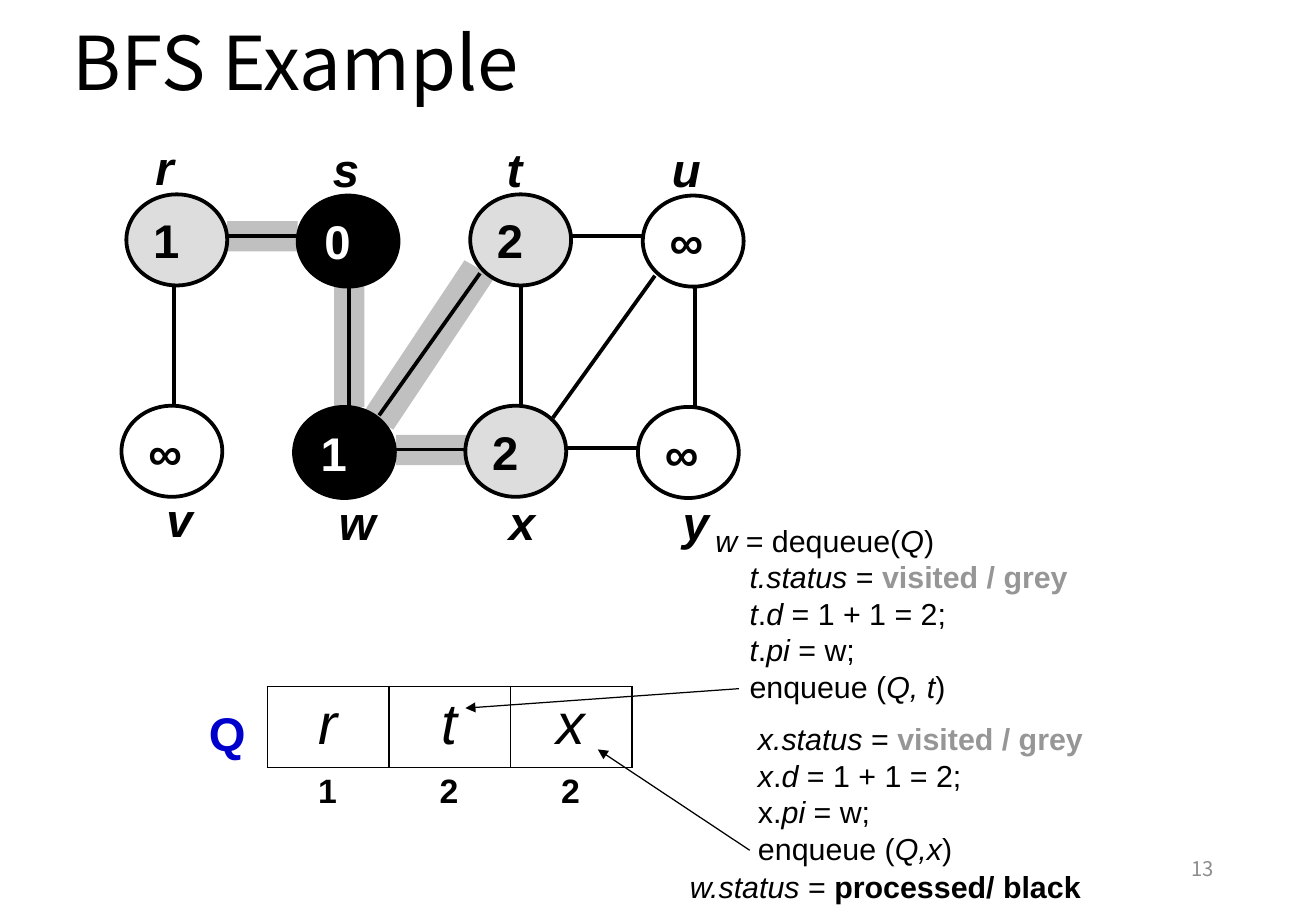
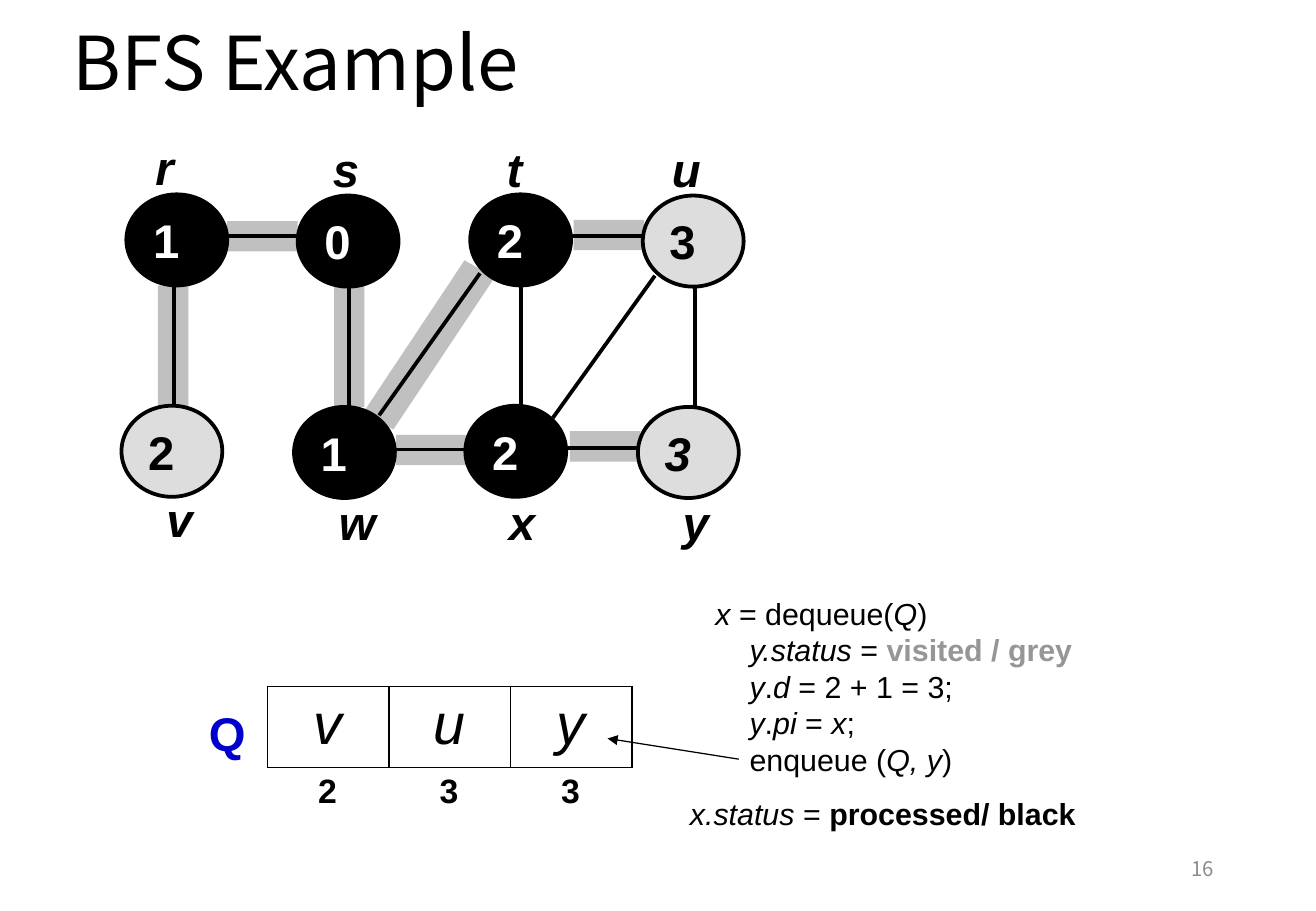
"""Build two steps of a breadth-first search walk-through."""
from dataclasses import dataclass

from lxml import etree
from pptx import Presentation, util as u
from pptx.dml.color import RGBColor
from pptx.enum import shapes, text
from pptx.oxml import ns


@dataclass(frozen=True)
class Theme:
    heading: str = "Noto Sans CJK SC"
    body: str = "Arial"
    black: str = "000000"
    white: str = "FFFFFF"
    grey: str = "DDDDDD"
    highlight: str = "C0C0C0"
    blue: str = "0000CC"
    visited: str = "969696"
    muted: str = "8C8C8C"
    title: int = 44
    queue: int = 34
    node: int = 28
    distance: int = 20
    code: int = 18
    number: int = 12
    edge: float = 2.25
    thin: float = 0.75


@dataclass(frozen=True)
class Step:
    """One line of the trace; asterisks enclose italic text."""
    indent: float
    text: str
    strong: str = ""
    tone: str = Theme.black
    before: float = 0
    spacing: float = 1


NODE_SIZE = (0.83, 0.75)
NODES = {
    "r": (1.04, 1.6, 1.18, 1.09), "s": (2.45, 1.61, 2.64, 1.11),
    "t": (3.87, 1.6, 4.07, 1.11), "u": (5.29, 1.61, 5.43, 1.11),
    "v": (1, 3.34, 1.27, 3.99), "w": (2.42, 3.35, 2.69, 4.01),
    "x": (3.83, 3.34, 4.09, 4.01), "y": (5.25, 3.35, 5.52, 4.01),
}
EDGES = {
    "rv": (1.43, 3.35, 1.43, 2.35), "sw": (2.87, 3.35, 2.87, 2.35),
    "tx": (4.29, 3.35, 4.29, 2.35), "uy": (5.72, 3.35, 5.72, 2.35),
    "rs": (2.45, 1.94, 1.87, 1.94), "wx": (3.84, 3.7, 3.26, 3.7),
    "tu": (5.29, 1.94, 4.7, 1.94), "xy": (5.26, 3.69, 4.67, 3.69),
    "ux": (5.39, 2.27, 4.55, 3.44), "tw": (3.95, 2.25, 3.12, 3.42),
}
ACROSS, DOWN = (0.58, 0.25), (0.25, 1)
TREE_BANDS = {
    "rs": (1.87, 1.82, *ACROSS), "tu": (4.72, 1.81, *ACROSS),
    "wx": (3.26, 3.58, *ACROSS), "xy": (4.69, 3.55, *ACROSS),
    "rv": (1.3, 2.35, *DOWN), "sw": (2.75, 2.35, *DOWN),
    "tw": (3.34, 2.09, 0.38, 1.5),
}
STATUS = {
    "new": (None, Theme.black),
    "visited": (Theme.grey, Theme.black),
    "processed": (Theme.black, Theme.white),
}


def inches(*lengths):
    return [u.Inches(length) for length in lengths]


class Deck:
    """Holds the style, the presentation and the current slide."""

    def __init__(self, theme):
        self.theme = theme
        self.deck = Presentation()
        self.deck.slide_width, self.deck.slide_height = inches(10.83, 7.5)

    def run(self, paragraph, words, size, color=Theme.black, bold=False,
            italic=False, face=Theme.body):
        font = self.add_words(paragraph, words).font
        font.name, font.size = face, u.Pt(size)
        font.bold, font.italic = bold, italic
        font.color.rgb = RGBColor.from_string(color)

    def add_words(self, paragraph, words):
        run = paragraph.add_run()
        run.text = words
        return run

    def start(self, title, number):
        self.slide = self.deck.slides.add_slide(self.deck.slide_layouts[5])
        heading = self.slide.shapes.title
        heading.left, heading.top, heading.width, heading.height = inches(
            0.5, -0.08, 7.92, 1.25)
        heading.text_frame.vertical_anchor = text.MSO_ANCHOR.MIDDLE
        line = heading.text_frame.paragraphs[0]
        line.alignment, line.line_spacing = text.PP_ALIGN.LEFT, 0.9
        self.run(line, title, self.theme.title, face=self.theme.heading)

        footer = self.slide.shapes.add_textbox(*inches(7.65, 6.95, 2.44, 0.4))
        footer.text_frame.vertical_anchor = text.MSO_ANCHOR.MIDDLE
        footer.text_frame.word_wrap = True
        page = footer.text_frame.paragraphs[0]
        page.alignment = text.PP_ALIGN.RIGHT
        self.run(page, str(number), self.theme.number, self.theme.muted,
                 face=self.theme.heading)

    def label(self, words, at, size, color=Theme.black, italic=False):
        frame = self.slide.shapes.add_textbox(*inches(*at)).text_frame
        frame.word_wrap = False
        frame.auto_size = text.MSO_AUTO_SIZE.SHAPE_TO_FIT_TEXT
        self.run(frame.paragraphs[0], words, size, color, True, italic)

    def band(self, edge):
        slanted = edge == "tw"
        kind = shapes.MSO_SHAPE.PARALLELOGRAM if slanted else shapes.MSO_SHAPE.RECTANGLE
        band = self.slide.shapes.add_shape(kind, *inches(*TREE_BANDS[edge]))
        band.shadow.inherit = False
        band.fill.solid()
        band.fill.fore_color.rgb = RGBColor.from_string(self.theme.highlight)
        band.line.fill.background()
        if slanted:
            band.rotation = 30
            band.adjustments[0] = 0.25

    def node(self, name, distance, status, italic=False):
        left, top, label_left, label_top = NODES[name]
        fill, ink = STATUS[status]
        node = self.slide.shapes.add_shape(
            shapes.MSO_SHAPE.OVAL, *inches(left, top, *NODE_SIZE))
        node.shadow.inherit = False
        if fill:
            node.fill.solid()
            node.fill.fore_color.rgb = RGBColor.from_string(fill)
        else:
            node.fill.background()
        node.line.color.rgb = RGBColor.from_string(self.theme.black)
        node.line.width = u.Pt(self.theme.edge)
        frame = node.text_frame
        frame.word_wrap = False
        frame.vertical_anchor = text.MSO_ANCHOR.MIDDLE
        value = frame.paragraphs[0]
        value.alignment = text.PP_ALIGN.LEFT
        self.run(value, distance, self.theme.node, ink, True, italic)
        self.label(name, (label_left, label_top, 0.42, 0.57),
                   self.theme.node, italic=True)

    def line(self, ends, width, arrow=False):
        line = self.slide.shapes.add_connector(
            shapes.MSO_CONNECTOR.STRAIGHT, *inches(*ends))
        line.line.color.rgb = RGBColor.from_string(self.theme.black)
        line.line.width = u.Pt(width)
        if arrow:
            etree.SubElement(line.line._get_or_add_ln(),
                             ns.qn("a:tailEnd"), type="triangle")
        etree.SubElement(line._element.spPr, ns.qn("a:effectLst"))

    def graph(self, states, tree):
        for edge in tree:
            self.band(edge)
        for name, state in states.items():
            self.node(name, *state)
        for ends in EDGES.values():
            self.line(ends, self.theme.edge)

    def border(self, cell):
        properties = cell._tc.get_or_add_tcPr()
        for side in ("lnL", "lnR", "lnT", "lnB"):
            edge = etree.SubElement(properties, ns.qn(f"a:{side}"),
                                    w=str(u.Pt(1)))
            fill = etree.SubElement(edge, ns.qn("a:solidFill"))
            etree.SubElement(fill, ns.qn("a:srgbClr"), val=self.theme.black)

    def queue(self, entries):
        self.label("Q", (1.62, 5.75, 0.5, 0.57), self.theme.node,
                   self.theme.blue)
        table = self.slide.shapes.add_table(
            1, len(entries), *inches(2.2, 5.65, len(entries), 0.67)).table
        table.first_row = table.horz_banding = False
        for column, (name, distance) in enumerate(entries):
            cell = table.cell(0, column)
            self.border(cell)
            cell.fill.background()
            entry = cell.text_frame.paragraphs[0]
            entry.alignment = text.PP_ALIGN.CENTER
            self.run(entry, name, self.theme.queue, italic=True)
            self.label(distance, (2.52 + column, 6.29, 0.36, 0.43),
                       self.theme.distance)

    def trace(self, top, height, steps):
        frame = self.slide.shapes.add_textbox(
            *inches(5.58, top, 3.5, height)).text_frame
        frame.word_wrap = True
        frame.auto_size = text.MSO_AUTO_SIZE.SHAPE_TO_FIT_TEXT
        for index, step in enumerate(steps):
            line = frame.add_paragraph() if index else frame.paragraphs[0]
            line._p.get_or_add_pPr().set("marL", str(u.Inches(step.indent)))
            if step.before:
                line.space_before = u.Pt(step.before)
            if step.spacing != 1:
                line.line_spacing = step.spacing
            for part, words in enumerate(step.text.split("*")):
                if words:
                    self.run(line, words, self.theme.code, italic=part % 2 == 1)
            if step.strong:
                self.run(line, step.strong, self.theme.code, step.tone, True)

    def arrow(self, *ends):
        self.line(ends, self.theme.thin, True)


def visit(node, distance, parent, enqueue, indent=0.49, before=0, owner=None):
    return [
        Step(indent, f"*{node}.status* = ", "visited / grey", Theme.visited,
             before),
        Step(indent, f"*{node}*.*d* = {distance};"),
        Step(indent, f"{owner or f'*{node}*'}.*pi* = {parent};"),
        Step(indent, f"enqueue (*{enqueue}*)"),
    ]


def dequeue(node):
    return Step(0.21, f"*{node}* = dequeue(*Q*)")


def finish(node, before):
    return Step(0, f"*{node}.status* = ", "processed/ black",
                before=before, spacing=0.9)


def main():
    deck = Deck(Theme())

    deck.start("BFS Example", 13)
    unseen = ("∞", "new", True)
    deck.graph({
        "r": ("1", "visited"), "s": ("0", "processed"),
        "t": ("2", "visited"), "u": unseen, "v": unseen,
        "w": ("1", "processed"), "x": ("2", "visited"), "y": unseen,
    }, ("wx", "tw", "sw", "rs"))
    deck.queue([("r", "1"), ("t", "2"), ("x", "2")])
    deck.trace(4.25, 3.27, [
        dequeue("w"),
        *visit("t", "1 + 1 = 2", "w", "Q, t"),
        *visit("x", "1 + 1 = 2", "w", "Q,x", 0.56, 9.6, "x"),
        finish("w", 3.6),
    ])
    deck.arrow(6.08, 5.67, 3.83, 5.83)
    deck.arrow(6.17, 7, 4.92, 6.17)

    deck.start("BFS Example", 16)
    deck.graph({
        "r": ("1", "processed"), "s": ("0", "processed"),
        "t": ("2", "processed"), "u": ("3", "visited"),
        "v": ("2", "visited"), "w": ("1", "processed"),
        "x": ("2", "processed"), "y": ("3", "visited", True),
    }, ("xy", "tu", "rv", "wx", "tw", "sw", "rs"))
    deck.queue([("v", "2"), ("u", "3"), ("y", "3")])
    deck.trace(4.85, 2.07, [
        dequeue("x"),
        *visit("y", "2 + 1 = 3", "*x*", "Q, y"),
        finish("x", 13.2),
    ])
    deck.arrow(6.08, 6.25, 5, 6.08)

    deck.deck.save("out.pptx")


if __name__ == "__main__":
    main()
